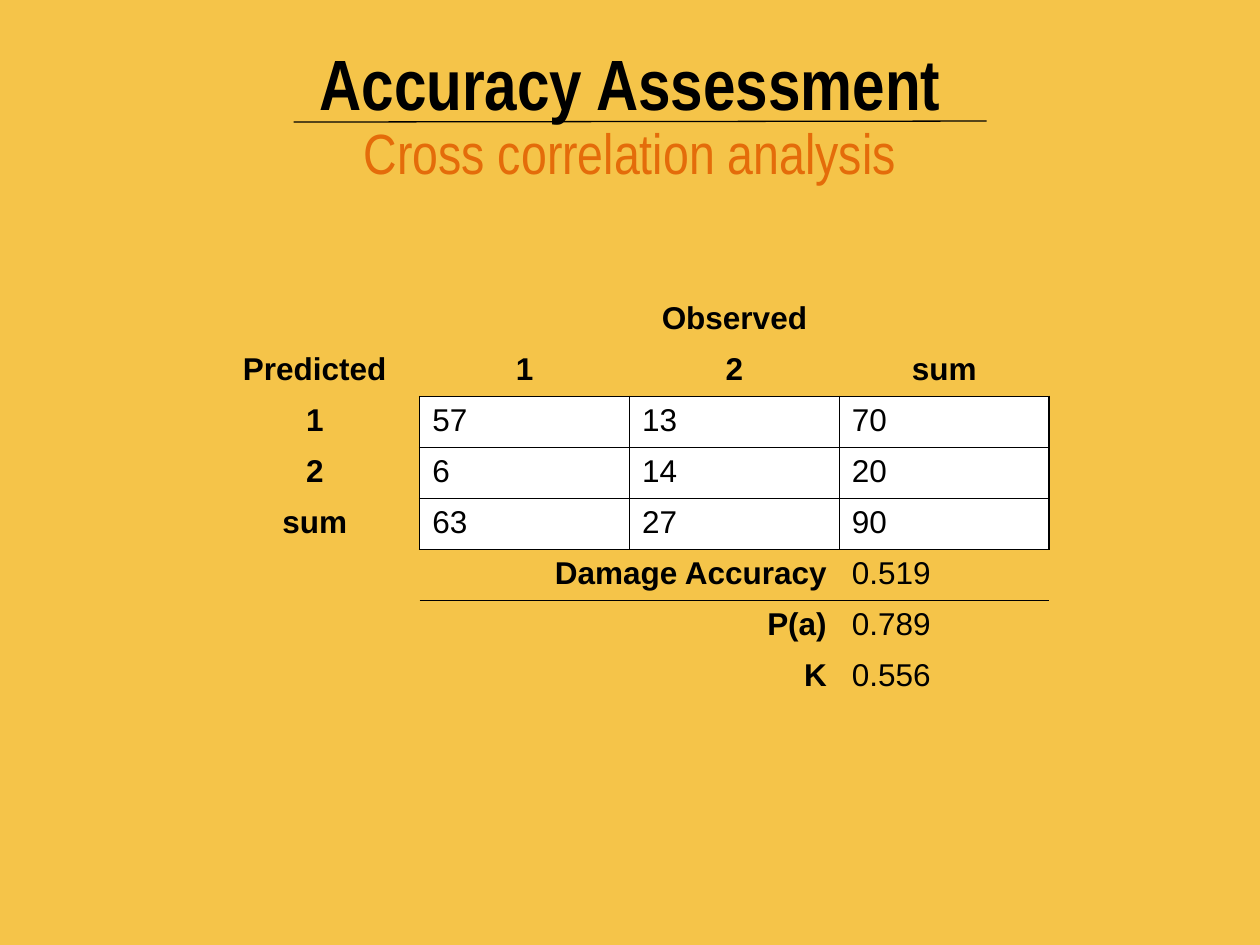
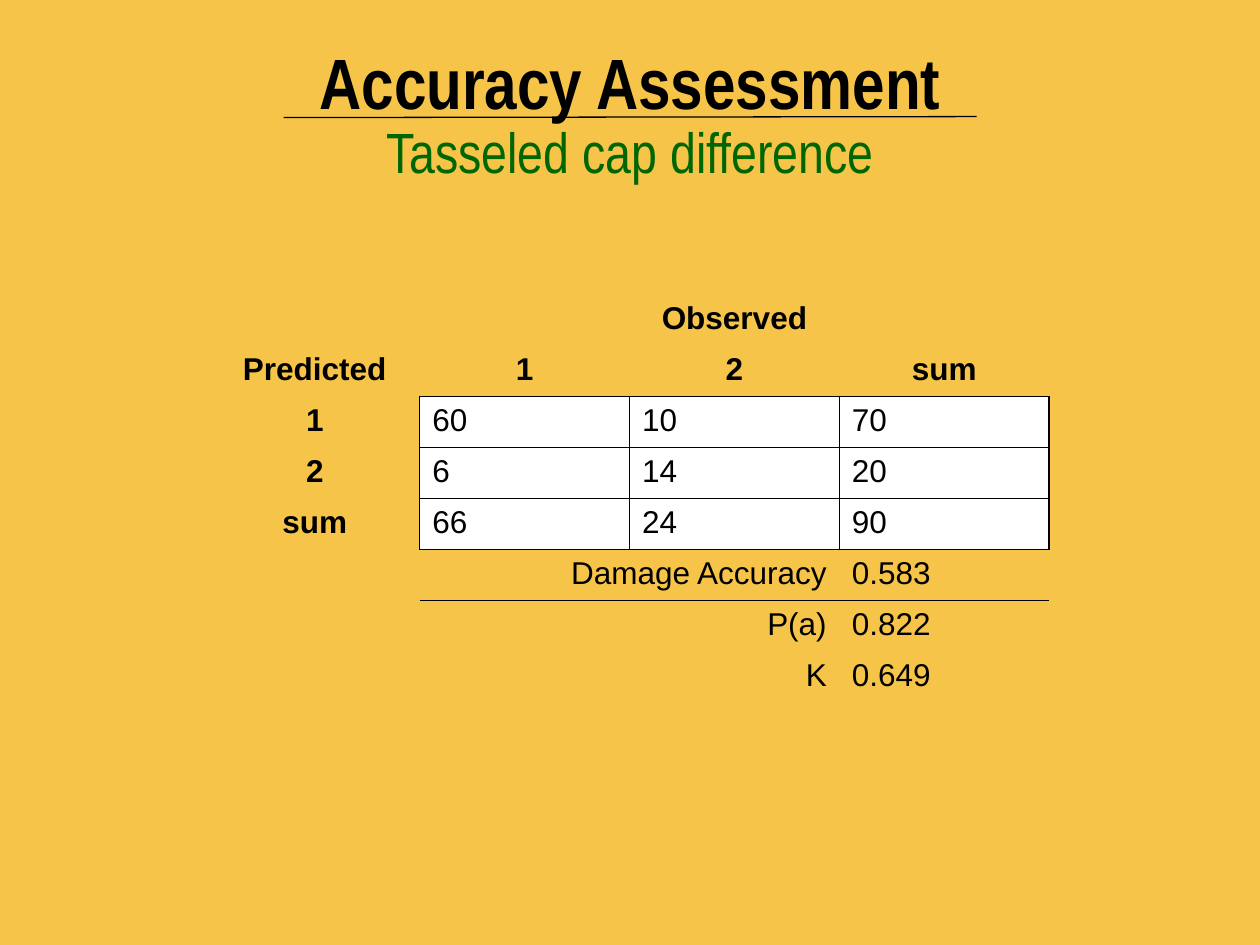
from dataclasses import dataclass

from lxml import etree
from pptx import Presentation
from pptx.dml.color import RGBColor
from pptx.enum import shapes, text
from pptx.oxml import ns
from pptx.util import Cm, Pt


@dataclass(frozen=True)
class Theme:
    background: str = "F5C449"
    ink: str = "000000"
    counts_fill: str = "FFFFFF"
    orange: str = "E46C0A"
    green: str = "006600"
    title_font: str = "Arial Narrow"
    table_font: str = "Arial"
    title_size: float = 40.7
    subtitle_size: float = 32.4
    table_size: float = 18
    rule_width: float = 0.75
    grid_width: float = 1


THEME = Theme()
NO_STYLE = "{2D5ABB26-0587-4C30-8999-92F81FD0307C}"
CLASSES = ("1", "2", "sum")
MEASURES = ("Damage Accuracy", "P(a)", "K")
LEFT, CENTER, RIGHT = text.PP_ALIGN.LEFT, text.PP_ALIGN.CENTER, text.PP_ALIGN.RIGHT


def style(paragraph, font_name, size, color, bold, align):
    paragraph.alignment = align
    font = paragraph.font
    font.name, font.size, font.bold = font_name, Pt(size), bold
    font.color.rgb = RGBColor.from_string(color)


def add_heading(slide, subtitle, subtitle_color, top, rule_left, rule_drop):
    """Title and subtitle; the rule between them lies rule_drop below top."""
    title = slide.shapes.title
    title.left, title.top, title.width, title.height = Cm(1.27), Cm(top), Cm(22.86), Cm(3.18)
    frame = title.text_frame
    frame.word_wrap = True
    frame.auto_size = text.MSO_AUTO_SIZE.NONE
    frame.vertical_anchor = text.MSO_ANCHOR.MIDDLE
    frame.text = f"Accuracy Assessment\n{subtitle}"
    main, sub = frame.paragraphs
    style(main, THEME.title_font, THEME.title_size, THEME.ink, True, CENTER)
    style(sub, THEME.title_font, THEME.subtitle_size, subtitle_color, False, CENTER)
    for paragraph in (main, sub):
        paragraph.line_spacing = 0.9
        paragraph.space_before = Pt(0)

    rule_y = top + rule_drop
    rule = slide.shapes.add_connector(
        shapes.MSO_CONNECTOR.STRAIGHT,
        Cm(rule_left), Cm(rule_y), Cm(rule_left + 13.97), Cm(rule_y - 0.02))
    rule.line.color.rgb = RGBColor.from_string(THEME.ink)
    rule.line.width = Pt(THEME.rule_width)
    etree.SubElement(rule._element.spPr, ns.qn("a:effectLst"))


def add_borders(cell, sides):
    properties = cell._tc.get_or_add_tcPr()
    for side in sides:
        line = etree.SubElement(properties, ns.qn(f"a:ln{side}"), w=str(Pt(THEME.grid_width)))
        fill = etree.SubElement(line, ns.qn("a:solidFill"))
        etree.SubElement(fill, ns.qn("a:srgbClr"), val=THEME.ink)


def border_sides(row, column):
    """Sides of a cell that touch the grid of counts (rows 2-4, columns 1-3)."""
    if column == 0:
        return "R" if 2 <= row <= 4 else ""
    return {1: "B", 2: "LRTB", 3: "LRTB", 4: "LRTB", 5: "T"}.get(row, "")


def add_error_matrix(slide, left, top, counts, scores, bold_measures):
    column_width, row_height = Cm(4.23), Cm(1.03)
    table = slide.shapes.add_table(
        8, 4, Cm(left), Cm(top), 4 * column_width, 8 * row_height).table
    table._tbl.tblPr.find(ns.qn("a:tableStyleId")).text = NO_STYLE
    table.first_row = table.horz_banding = False
    for column in table.columns:
        column.width = column_width

    for r, row in enumerate(table.rows):
        row.height = row_height
        for c, cell in enumerate(row.cells):
            add_borders(cell, border_sides(r, c))
            in_counts = 2 <= r <= 4 and c > 0
            cell.fill.solid()
            cell.fill.fore_color.rgb = RGBColor.from_string(
                THEME.counts_fill if in_counts else THEME.background)
    table.cell(0, 1).merge(table.cell(0, 3))
    table.cell(5, 1).merge(table.cell(5, 2))

    def write(row, column, words, bold, align):
        cell = table.cell(row, column)
        cell.text = words
        style(cell.text_frame.paragraphs[0], THEME.table_font, THEME.table_size,
              THEME.ink, bold, align)

    write(0, 1, "Observed", True, CENTER)
    write(1, 0, "Predicted", True, CENTER)
    for i, (label, class_counts) in enumerate(zip(CLASSES, counts)):
        write(1, i + 1, label, True, CENTER)
        write(i + 2, 0, label, True, CENTER)
        for j, count in enumerate(class_counts):
            write(i + 2, j + 1, str(count), False, LEFT)
    for i, (measure, score) in enumerate(zip(MEASURES, scores)):
        write(i + 5, 1 if i == 0 else 2, measure, bold_measures, RIGHT)
        write(i + 5, 3, f"{score:.3f}", False, LEFT)


def add_assessment(deck, heading, matrix):
    slide = deck.slides.add_slide(deck.slide_layouts[5])
    add_heading(slide, **heading)
    add_error_matrix(slide, 4.23, 5.93, **matrix)


def main():
    deck = Presentation()
    deck.slide_width, deck.slide_height = Cm(25.4), Cm(19.05)
    backdrop = deck.slide_master.background.fill
    backdrop.solid()
    backdrop.fore_color.rgb = RGBColor.from_string(THEME.background)

    add_assessment(
        deck,
        dict(subtitle="Cross correlation analysis", subtitle_color=THEME.orange,
             top=0.79, rule_left=5.92, rule_drop=1.67),
        dict(counts=[(57, 13, 70), (6, 14, 20), (63, 27, 90)],
             scores=(0.519, 0.789, 0.556), bold_measures=True))
    add_assessment(
        deck,
        dict(subtitle="Tasseled cap difference", subtitle_color=THEME.green,
             top=0.76, rule_left=5.72, rule_drop=1.61),
        dict(counts=[(60, 10, 70), (6, 14, 20), (66, 24, 90)],
             scores=(0.583, 0.822, 0.649), bold_measures=False))
    deck.save("out.pptx")


if __name__ == "__main__":
    main()
